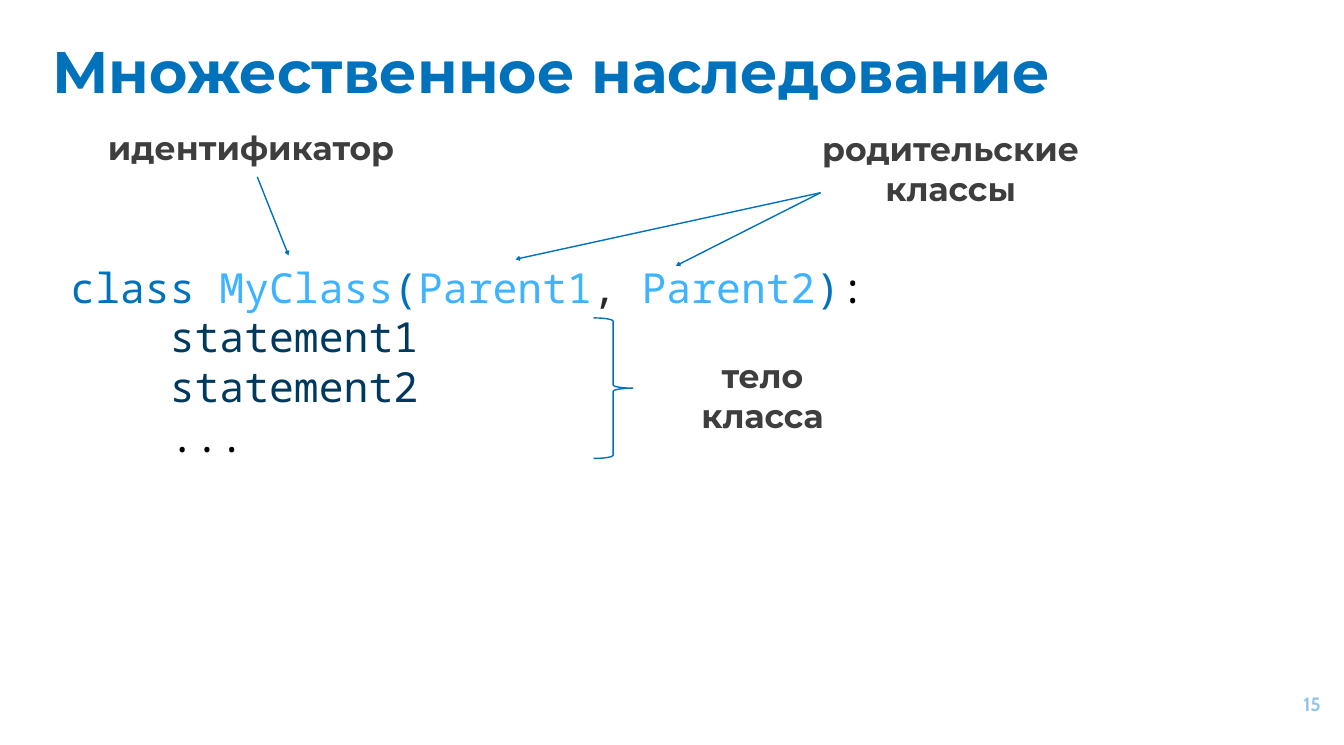
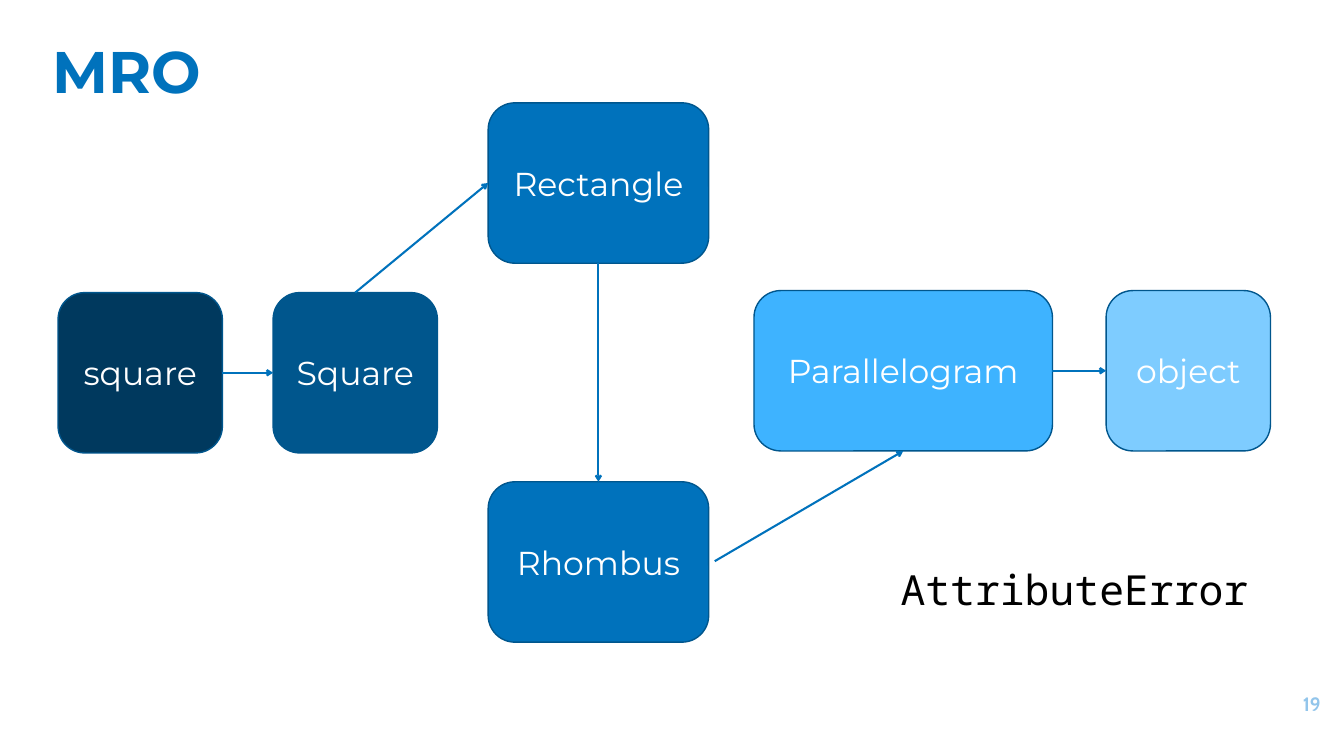
import pptx
import pptx.dml.color
import pptx.enum.shapes
import pptx.enum.text
import pptx.oxml
import pptx.oxml.ns
import pptx.util

SHAPES = pptx.enum.shapes.MSO_SHAPE
ALIGN = pptx.enum.text.PP_ALIGN
ANCHOR = pptx.enum.text.MSO_ANCHOR
AUTO_SIZE = pptx.enum.text.MSO_AUTO_SIZE

SLIDE_WIDTH = pptx.util.Inches(27.06)
SLIDE_HEIGHT = pptx.util.Inches(15)

NAVY, DEEP, BLUE, SKY, PALE = "00395E", "00568D", "0072BC", "3EB3FF", "7ECCFF"
NUMBER_BLUE, GRAY, COMMA, BLACK, WHITE = "92C5EB", "3E3E3E", "292929", "000000", "FFFFFF"
HEADING_FONT, CODE_FONT, NUMBER_FONT = "Montserrat", "Noto Sans Mono", "Cabin"

TOP, LEFT, BOTTOM, RIGHT = range(4)


def color(value):
    return pptx.dml.color.RGBColor.from_string(value)


def across(percent):
    return round(SLIDE_WIDTH * percent / 100)


def down(percent):
    return round(SLIDE_HEIGHT * percent / 100)


def place(left, top, width, height):
    return across(left), down(top), across(width), down(height)


def write(frame, lines, size, font, bold=False, align=ALIGN.LEFT):
    frame.word_wrap = True
    for index, line in enumerate(lines):
        paragraph = frame.add_paragraph() if index else frame.paragraphs[0]
        paragraph.alignment = align
        for words, tint in line:
            run = paragraph.add_run()
            run.text = words
            run.font.size = pptx.util.Pt(size)
            run.font.name = font
            run.font.bold = bold
            run.font.color.rgb = color(tint)


def add_text(slide, area, lines, size, font, bold=False, align=ALIGN.LEFT, grow=False):
    frame = slide.shapes.add_textbox(*place(*area)).text_frame
    write(frame, lines, size, font, bold, align)
    if grow:
        frame.auto_size = AUTO_SIZE.SHAPE_TO_FIT_TEXT
    return frame


def add_label(slide, area, *lines):
    add_text(slide, area, [[(line, GRAY)] for line in lines], 48, HEADING_FONT,
             bold=True, align=ALIGN.CENTER, grow=True)


def add_outline(slide, kind, area, line, fill=None):
    outline = slide.shapes.add_shape(kind, *place(*area))
    outline.shadow.inherit = False
    if fill:
        outline.fill.solid()
        outline.fill.fore_color.rgb = color(fill)
    else:
        outline.fill.background()
    outline.line.color.rgb = color(line)
    outline.line.width = pptx.util.Pt(2)
    return outline


def add_class_box(slide, area, name, fill):
    box = add_outline(slide, SHAPES.ROUNDED_RECTANGLE, area, DEEP, fill)
    box.text_frame.vertical_anchor = ANCHOR.MIDDLE
    write(box.text_frame, [[(name, WHITE)]], 48, HEADING_FONT, align=ALIGN.CENTER)
    return box


def add_arrow(slide, width, start=(0, 0), end=(0, 0), source=None, target=None):
    arrow = slide.shapes.add_connector(
        pptx.enum.shapes.MSO_CONNECTOR.STRAIGHT,
        across(start[0]), down(start[1]), across(end[0]), down(end[1]))
    if source:
        arrow.begin_connect(*source)
    if target:
        arrow.end_connect(*target)
    arrow.line.color.rgb = color(BLUE)
    arrow.line.width = pptx.util.Pt(width)
    namespace = pptx.oxml.ns.nsdecls("a")
    arrow.line._get_or_add_ln().append(
        pptx.oxml.parse_xml(f'<a:tailEnd {namespace} type="arrow"/>'))
    arrow._element.spPr.append(pptx.oxml.parse_xml(f"<a:effectLst {namespace}/>"))


def add_page(deck, title, number):
    slide = deck.slides.add_slide(deck.slide_layouts[6])
    heading = add_text(slide, (3.55, 4.07, 88.43, 12.8), [[(title, BLUE)]], 85,
                       HEADING_FONT, bold=True)
    footer = add_text(slide, (92.65, 90.67, 5.99, 7.67), [[(number, NUMBER_BLUE)]], 28,
                      NUMBER_FONT, bold=True, align=ALIGN.RIGHT)
    footer.vertical_anchor = ANCHOR.MIDDLE
    for frame in (heading, footer):
        frame.margin_top = frame.margin_bottom = pptx.util.Inches(0.1)
    return slide


def add_inheritance_page(deck):
    slide = add_page(deck, "Множественное наследование", "15")
    class_code = [
        [("class ", BLUE), ("MyClass", SKY), ("(", BLUE), ("Parent1", SKY),
         (", ", COMMA), ("Parent2", SKY), (")", BLUE), (":", BLACK)],
        [("    ", BLACK), ("statement1", NAVY)],
        [("    ", BLACK), ("statement2", NAVY)],
        [("    ...", BLACK)],
    ]
    add_text(slide, (4.88, 34.8, 69.84, 31), class_code, 60, CODE_FONT)
    add_label(slide, (6.06, 16.8, 25.24, 6.07), "идентификатор")
    add_label(slide, (55.8, 16.93, 29.86, 11.47), "родительские классы")
    add_outline(slide, SHAPES.RIGHT_BRACE, (44.16, 42.67, 2.92, 18.87), BLUE)
    add_label(slide, (48.82, 47.4, 15.82, 11.47), "тело", "класса")
    add_arrow(slide, 2, (19.14, 23.73), (21.47, 34.27))
    for parent in ((38.36, 34.8), (50.3, 35.67)):
        add_arrow(slide, 2, (61.05, 25.87), parent)


def add_mro_page(deck):
    slide = add_page(deck, "MRO", "19")
    first, step = 4.32, 16
    narrow, medium, wide, height = 12.23, 16.41, 22.21, 21.53
    classes = [
        ("square", first, 39.27, narrow, NAVY),
        ("Square", first + step, 39.27, narrow, DEEP),
        ("Rectangle", first + 2 * step, 13.8, medium, BLUE),
        ("Rhombus", first + 2 * step, 64.67, medium, BLUE),
        ("Parallelogram", 56.1, 39, wide, SKY),
        ("object", 82.3, 39, narrow, PALE),
    ]
    instance, square, rectangle, rhombus, parallelogram, base = [
        add_class_box(slide, (left, top, width, height), name, fill)
        for name, left, top, width, fill in classes]
    add_arrow(slide, 3, source=(instance, RIGHT), target=(square, LEFT))
    add_arrow(slide, 3, source=(square, TOP), target=(rectangle, LEFT))
    add_arrow(slide, 3, source=(rectangle, BOTTOM), target=(rhombus, TOP))
    add_arrow(slide, 3, start=(53.18, 75.33), target=(parallelogram, BOTTOM))
    add_arrow(slide, 3, source=(parallelogram, RIGHT), target=(base, LEFT))
    add_text(slide, (64.86, 75.33, 30.16, 7.4), [[("AttributeError", BLACK)]], 60,
             CODE_FONT, align=ALIGN.CENTER, grow=True)


def main():
    deck = pptx.Presentation()
    deck.slide_width = SLIDE_WIDTH
    deck.slide_height = SLIDE_HEIGHT
    add_inheritance_page(deck)
    add_mro_page(deck)
    deck.save("out.pptx")


if __name__ == "__main__":
    main()
